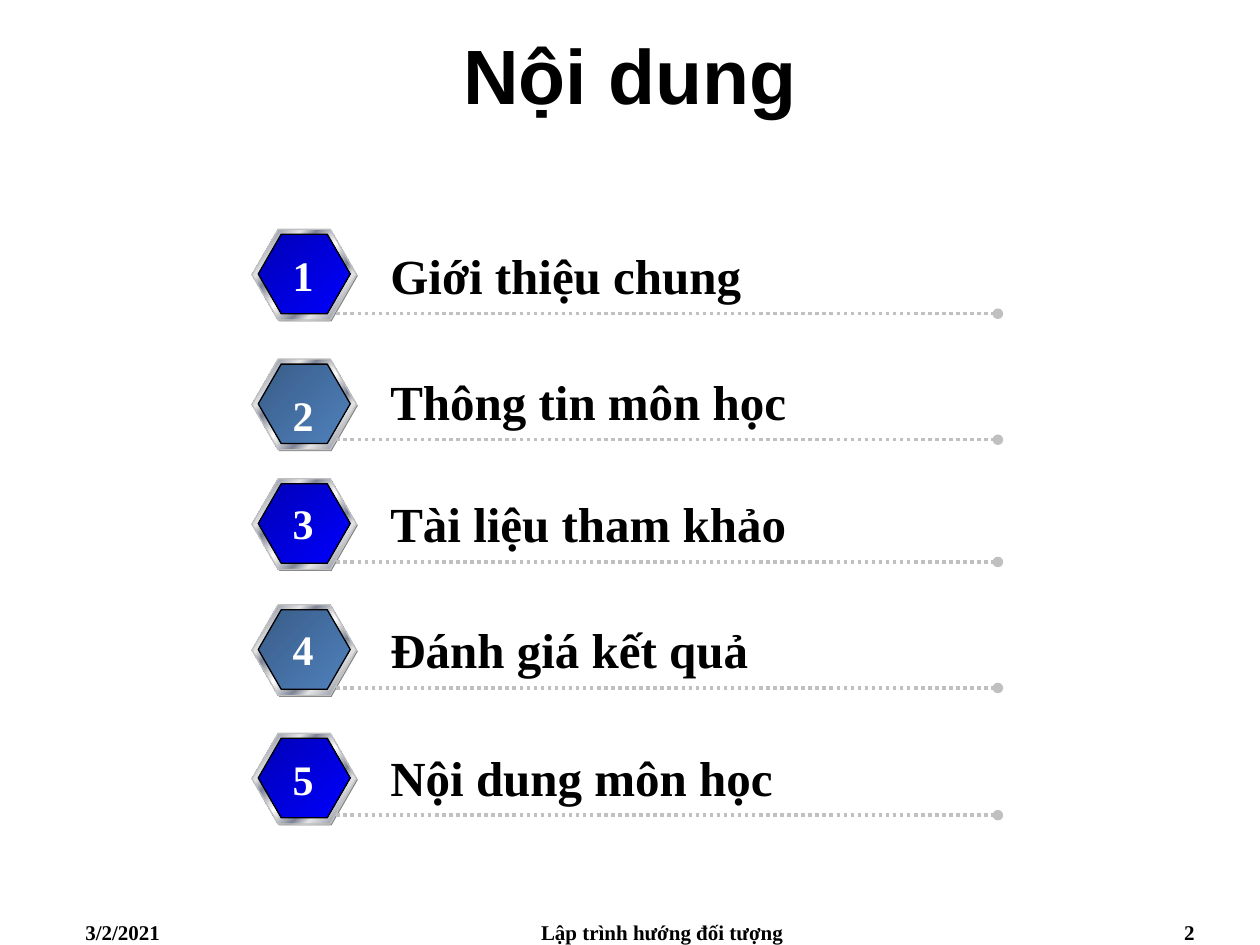
from lxml import etree
from pptx import Presentation
from pptx.dml.color import RGBColor
from pptx.enum.dml import MSO_LINE
from pptx.enum.shapes import MSO_CONNECTOR, MSO_SHAPE
from pptx.enum.text import MSO_ANCHOR, PP_ALIGN
from pptx.oxml.ns import qn
from pptx.util import Emu, Pt

PX = 9144
LEFT, CENTER, RIGHT = PP_ALIGN.LEFT, PP_ALIGN.CENTER, PP_ALIGN.RIGHT
TOP, MIDDLE = MSO_ANCHOR.TOP, MSO_ANCHOR.MIDDLE
HEXAGON = MSO_SHAPE.HEXAGON
STRAIGHT = MSO_CONNECTOR.STRAIGHT
DOTTED = MSO_LINE.ROUND_DOT
SERIF = "Times New Roman"
BLUE = [(0, "0000B6"), (100, "0000FF")]
STEEL = [(0, "395C87"), (100, "4F81BD")]
METAL = [(0, "E6E6E6"), (7, "7D8496"), (26, "E6E6E6"), (34, "7D8496"),
         (46, "E6E6E6"), (50, "FFFFFF"), (54, "E6E6E6"), (66, "7D8496"),
         (74, "E6E6E6"), (93, "7D8496"), (100, "E6E6E6")]
ITEMS = [
    ("Giới thiệu chung", 182, 249, 11),
    ("Thông tin môn học", 285, 349, 19),
    ("Tài liệu tham khảo", 380, 446, 10),
    ("Đánh giá kết quả", 480, 546, 10),
    ("Nội dung môn học", 582, 647, 11),
]


def px(*values):
    """Turn px lengths into a list of EMU."""
    return [Emu(v * PX) for v in values]


def rgb(color):
    """Return the colour of a hex string."""
    return RGBColor.from_string(color)


def add_text(shapes, box, text, size, align=LEFT, color="000000",
             font=SERIF, anchor=TOP, wrap=True):
    """Add a bold one-line text box."""
    tf = shapes.add_textbox(*px(*box)).text_frame
    tf.word_wrap = wrap
    tf.vertical_anchor = anchor
    p = tf.paragraphs[0]
    p.text = text
    p.alignment = align
    p.font.name = font
    p.font.size = Pt(size)
    p.font.bold = True
    p.font.color.rgb = rgb(color)


def set_gradient(sp, stops):
    """Fill a shape with a diagonal gradient of (percent, colour) stops."""
    sp.fill.gradient()
    sp.fill.gradient_angle = 315
    gs_list = sp._element.spPr.find(qn("a:gradFill")).find(qn("a:gsLst"))
    for gs in list(gs_list):
        gs_list.remove(gs)
    for percent, color in stops:
        gs = etree.SubElement(gs_list, qn("a:gs"), pos=str(percent * 1000))
        etree.SubElement(gs, qn("a:srgbClr"), val=color)


def add_hexagon(shapes, box, line=None):
    """Add a regular hexagon without shadow."""
    sp = shapes.add_shape(HEXAGON, *px(*box))
    sp.shadow.inherit = False
    sp.adjustments[0] = 0.289
    sp.adjustments[1] = 1.155
    if line:
        sp.line.color.rgb = rgb(line)
        sp.line.width = Pt(0.75)
    else:
        sp.line.fill.background()
    return sp


def add_badge(shapes, x, y, stops):
    """Add a metal-rimmed hexagon with its corner at x, y."""
    base = add_hexagon(shapes, (x + 1, y + 1, 83, 72))
    base.fill.solid()
    base.fill.fore_color.rgb = rgb("808080")
    set_gradient(add_hexagon(shapes, (x, y, 83, 72), "C0C0C0"), METAL)
    set_gradient(add_hexagon(shapes, (x + 5, y + 4, 73, 63), "000000"), stops)


def add_rule(shapes, x, y, width):
    """Add a dotted rule that ends in a dot."""
    rule = shapes.add_connector(STRAIGHT, *px(x, y, x + width, y))
    rule.line.color.rgb = rgb("C0C0C0")
    rule.line.width = Pt(2)
    rule.line.dash_style = DOTTED
    etree.SubElement(rule.line._get_or_add_ln(), qn("a:tailEnd"), type="oval")
    etree.SubElement(rule._element.spPr, qn("a:effectLst"))


def add_item(s, x, number, label, top, rule_y, number_dy):
    """Add one grouped agenda item: badge, rule, label and number."""
    shapes = s.shapes.add_group_shape().shapes
    add_badge(shapes, x, top, BLUE if number % 2 else STEEL)
    add_rule(shapes, x + 67, rule_y, 525)
    add_text(shapes, (x + 100, rule_y - 59, 492, 57), label, 28)
    add_text(shapes, (x + 22, top + number_dy, 37, 50), str(number), 24,
             CENTER, "FFFFFF", wrap=False)


def add_footer(s, y, height):
    """Add the date, course name and slide number."""
    for x, width, text, align in [
        (58, 233, "3/2/2021", LEFT),
        (367, 317, "Lập trình hướng đối tượng", CENTER),
        (725, 233, "2", RIGHT),
    ]:
        add_text(s.shapes, (x, y, width, height), text, 12, align)


def main():
    """Build the agenda slide."""
    prs = Presentation()
    prs.slide_width, prs.slide_height = px(1000, 750)
    s = prs.slides.add_slide(prs.slide_layouts[6])
    add_text(s.shapes, (0, 0, 1000, 117), "Nội dung", 44, CENTER,
             font="Arial", anchor=MIDDLE)
    for number, item in enumerate(ITEMS, 1):
        add_item(s, 200, number, *item)
    add_footer(s, 725, 25)
    prs.save("out.pptx")


if __name__ == "__main__":
    main()
